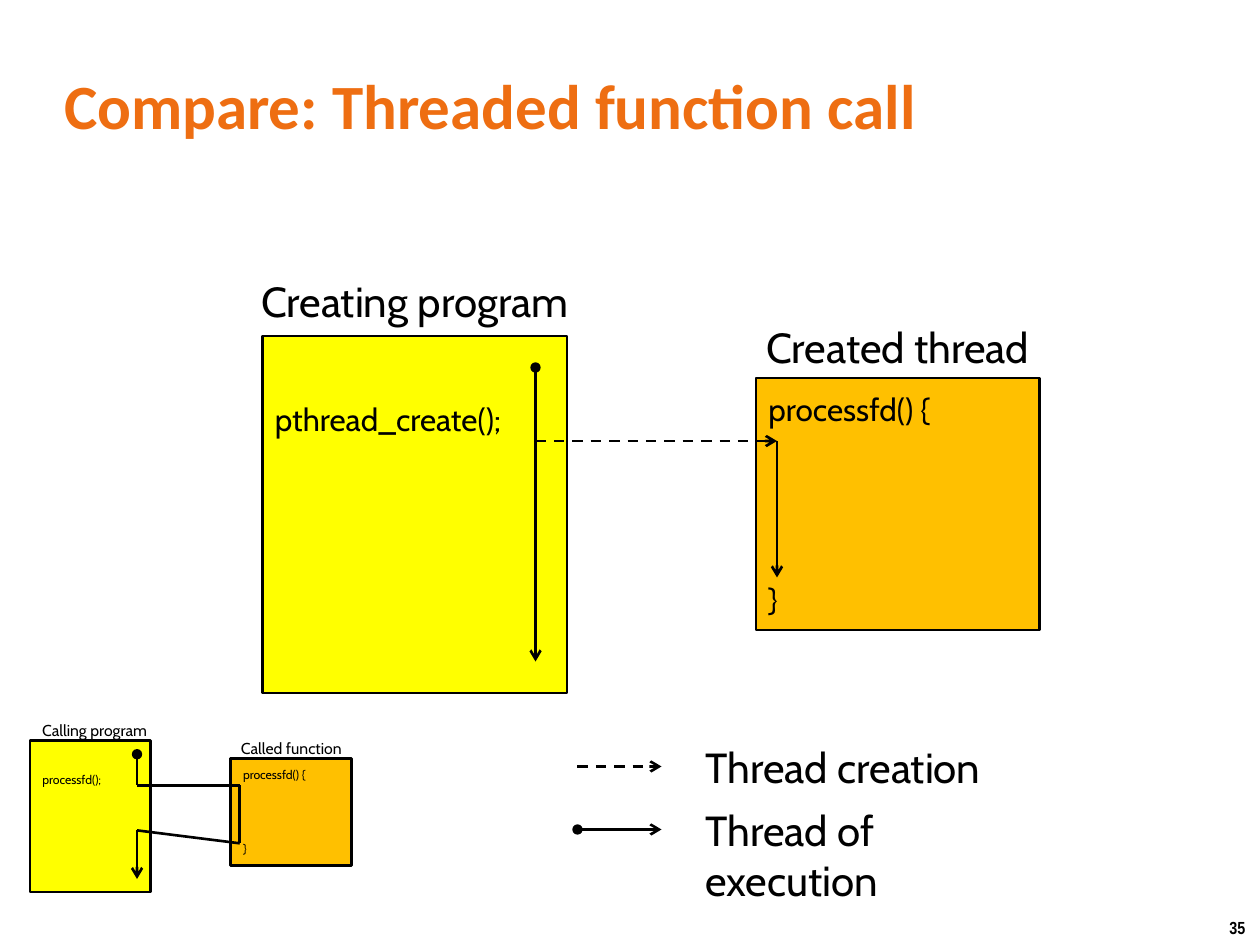
import pptx
import pptx.util
import pptx.dml.color
import pptx.enum.dml
import pptx.enum.shapes
import pptx.enum.text
import pptx.oxml.ns
from lxml import etree

Pt = pptx.util.Pt
RGBColor = pptx.dml.color.RGBColor
Align = pptx.enum.text.PP_ALIGN
Anchor = pptx.enum.text.MSO_ANCHOR
qn = pptx.oxml.ns.qn

BLACK = RGBColor(0x00, 0x00, 0x00)
TITLE_ORANGE = RGBColor(0xEE, 0x6E, 0x12)
YELLOW = RGBColor(0xFF, 0xFF, 0x00)
AMBER = RGBColor(0xFF, 0xC0, 0x00)

LINE_HEIGHT = 1.21  # of the font size
CODE_LINES = 6      # lines that each code box has room for

# left, top, width, height, fill, font size, {line number: code}
CODE_BOXES = [
    (150, 192, 174, 204, YELLOW, 18, {0: "pthread_create();"}),
    (432, 216, 162, 144, AMBER, 18, {0: "processfd() {", 5: "}"}),
    (17.2, 423.2, 69, 86.6, YELLOW, 7, {0: "processfd();"}),
    (131.8, 433.4, 69, 61.2, AMBER, 7, {0: "processfd() {", 5: "}"}),
]

# left, top, width, height, font size, alignment, text
LABELS = [
    (128, 154, 218, 36, 24, Align.CENTER, "Creating program"),
    (414, 180, 198, 36, 24, Align.CENTER, "Created thread"),
    (12, 408.2, 84, 18, 9, Align.CENTER, "Calling program"),
    (124.4, 418.6, 84, 18, 9, Align.CENTER, "Called function"),
    (396, 420, 172, 36, 24, Align.LEFT, "Thread creation"),
    (396, 456, 172, 65, 24, Align.LEFT, "Thread of execution"),
]

# start, end, start head, end head, dashed
LINES = [
    ((306, 252), (306, 378), None, "arrow", False),
    ((306, 252), (444, 252), None, "arrow", True),
    ((444, 252), (444, 330), None, "arrow", False),
    ((306, 210), (306, 252), "oval", None, False),
    ((78.3, 474.5), (78.3, 502.3), None, "arrow", False),
    ((78.3, 448.8), (137, 448.8), None, None, False),
    ((137, 448.8), (137, 481.9), None, None, False),
    ((137, 481.9), (78.3, 474.5), None, None, False),
    ((78.3, 431), (78.3, 448.8), "oval", None, False),
    ((330, 438), (378, 438), None, "arrow", True),
    ((330, 474), (378, 474), "oval", "arrow", False),
]


def add_run(paragraph, text, size, font="Cabin", color=BLACK, bold=False):
    run = paragraph.add_run()
    run.text = text
    run.font.name = font
    run.font.size = Pt(size)
    run.font.color.rgb = color
    run.font.bold = bold


def add_text(slide, left, top, width, height, text, size, align=Align.LEFT,
             anchor=Anchor.TOP, wrap=True, **style):
    box = slide.shapes.add_textbox(Pt(left), Pt(top), Pt(width), Pt(height))
    frame = box.text_frame
    frame.word_wrap = wrap
    frame.vertical_anchor = anchor
    paragraph = frame.paragraphs[0]
    paragraph.alignment = align
    add_run(paragraph, text, size, **style)


def add_code_box(slide, left, top, width, height, fill, size, code):
    """Place code on numbered lines of a block centred in the box."""
    box = slide.shapes.add_shape(pptx.enum.shapes.MSO_SHAPE.RECTANGLE,
                                 Pt(left), Pt(top), Pt(width), Pt(height))
    box.shadow.inherit = False
    box.fill.solid()
    box.fill.fore_color.rgb = fill
    box.line.color.rgb = BLACK
    box.line.width = Pt(1.5)

    line_height = size * LINE_HEIGHT
    frame = box.text_frame
    frame.word_wrap = True
    frame.vertical_anchor = Anchor.TOP
    frame.margin_top = Pt((height - CODE_LINES * line_height) / 2)
    frame.margin_bottom = 0
    previous = None
    for number, text in code.items():
        if previous is None:
            paragraph = frame.paragraphs[0]
        else:
            paragraph = frame.add_paragraph()
            paragraph.space_before = Pt((number - previous - 1) * line_height)
        paragraph.alignment = Align.LEFT
        add_run(paragraph, text, size)
        previous = number


def add_line(slide, start, end, start_head, end_head, dashed):
    connector = slide.shapes.add_connector(
        pptx.enum.shapes.MSO_CONNECTOR.STRAIGHT,
        *(Pt(value) for value in start + end))
    connector.line.color.rgb = BLACK
    connector.line.width = Pt(1.5)
    if dashed:
        connector.line.dash_style = pptx.enum.dml.MSO_LINE.DASH
    properties = connector._element.spPr
    outline = properties.find(qn("a:ln"))
    for tag, head in (("a:headEnd", start_head), ("a:tailEnd", end_head)):
        if head:
            etree.SubElement(outline, qn(tag), type=head)
    etree.SubElement(properties, qn("a:effectLst"))


def main():
    presentation = pptx.Presentation()
    presentation.slide_width = Pt(720)
    presentation.slide_height = Pt(540)
    slide = presentation.slides.add_slide(presentation.slide_layouts[6])

    add_text(slide, 29.5, 29.5, 660, 60, "Compare: Threaded function call", 36,
             anchor=Anchor.MIDDLE, font="Calibri", color=TITLE_ORANGE, bold=True)
    for box in CODE_BOXES:
        add_code_box(slide, *box)
    for left, top, width, height, size, align, text in LABELS:
        add_text(slide, left, top, width, height, text, size, align)
    for line in LINES:
        add_line(slide, *line)
    add_text(slide, 695.5, 520.5, 24.5, 19.5, "35", 10, wrap=False,
             font="Arial Narrow", bold=True)

    presentation.save("out.pptx")


if __name__ == "__main__":
    main()
